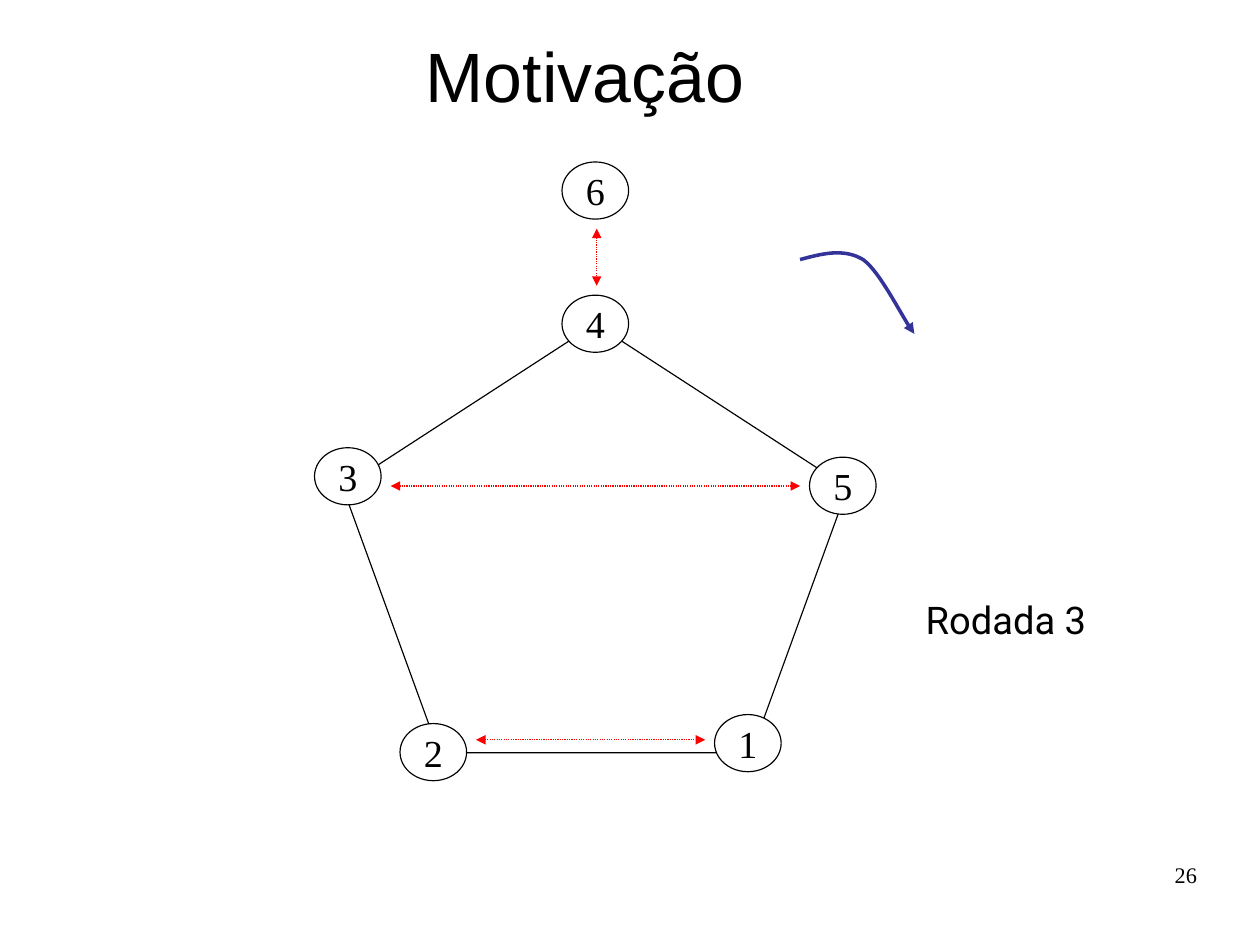
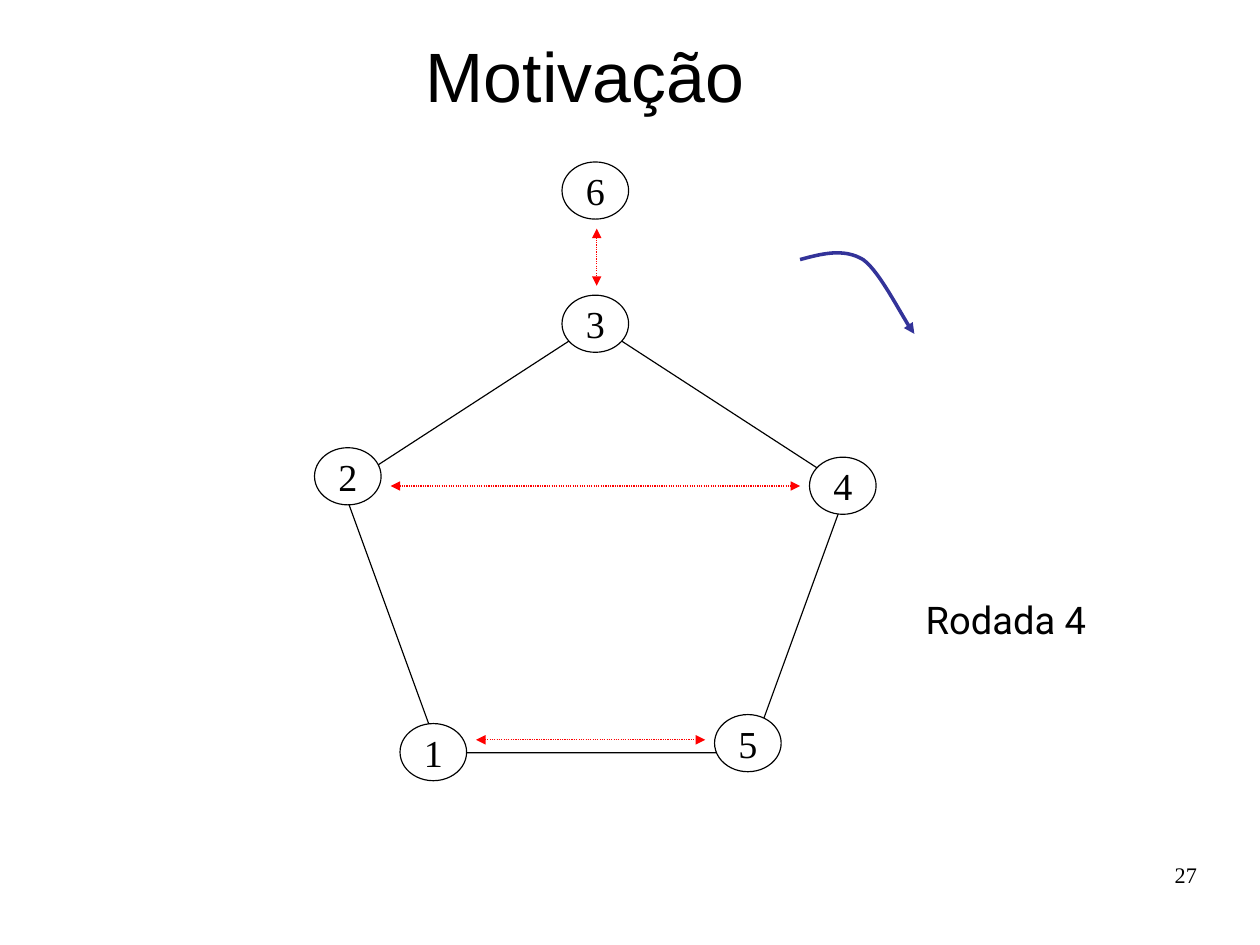
from lxml import etree
from pptx import Presentation
from pptx.dml import color
from pptx.enum import dml, shapes, text
from pptx.oxml import ns
from pptx import util as u

BLACK, WHITE, RED, BLUE = "000000", "FFFFFF", "FF0000", "333399"
SERIF = "Times New Roman"
FORMATS = {
    "title": {"size": u.Pt(44), "name": "Arial"},
    "label": {"size": u.Pt(24), "name": "Roboto"},
    "node": {"size": u.Pt(24), "name": SERIF},
    "number": {"size": u.Pt(14), "name": SERIF},
}
NODE_W, NODE_H = 1.48, 1.27
RING = [(12.49, 6.56), (17.99, 10.16), (15.88, 15.88), (8.89, 16.08), (6.99, 9.95)]
FIXED_NODE = (12.49, 3.6)
PAIRINGS = [
    (8.68, 10.8, 17.78, 10.8),
    (10.58, 16.44, 15.67, 16.44),
    (13.26, 5.08, 13.26, 6.35),
]
ROTATION = [
    [(17.78, 5.77), (18.26, 5.64), (18.75, 5.51), (19.18, 5.77)],
    [(19.18, 5.77), (19.58, 6.05), (20.09, 7.14), (20.32, 7.42)],
]


def rgb(value):
    return color.RGBColor.from_string(value)


def cm(*values):
    return [u.Cm(v) for v in values]


def bezier(points, steps=16):
    for i in range(1, steps + 1):
        t = i / steps
        weights = ((1 - t) ** 3, 3 * t * (1 - t) ** 2, 3 * t * t * (1 - t), t ** 3)
        yield tuple(sum(w * pt[axis] for w, pt in zip(weights, points)) for axis in (0, 1))


class Deck:
    def __init__(self):
        self.prs = Presentation()
        self.prs.slide_width, self.prs.slide_height = cm(28, 21)
        self.s = None

    def slide(self):
        self.s = self.prs.slides.add_slide(self.prs.slide_layouts[6])

    def set_text(self, sp, words, style, align, anchor, inset=True, wrap=True):
        tf = sp.text_frame
        frame = {"word_wrap": wrap, "vertical_anchor": anchor}
        if not inset:
            frame.update(dict.fromkeys(
                ("margin_left", "margin_right", "margin_top", "margin_bottom"), 0))
        for key, value in frame.items():
            setattr(tf, key, value)
        p = tf.paragraphs[0]
        p.alignment = align
        r = p.add_run()
        r.text = words
        for key, value in FORMATS[style].items():
            setattr(r.font, key, value)
        r.font.color.rgb = rgb(BLACK)

    def textbox(self, box, words, style, align=text.PP_ALIGN.CENTER,
                anchor=text.MSO_ANCHOR.TOP, inset=True):
        sp = self.s.shapes.add_textbox(*cm(*box))
        self.set_text(sp, words, style, align, anchor, inset)

    def stroke(self, sp, line_color, width):
        sp.line.color.rgb = rgb(line_color)
        sp.line.width = u.Pt(width)

    def shape(self, kind, box, fill=None):
        sp = self.s.shapes.add_shape(kind, *cm(*box))
        sp.shadow.inherit = False
        if fill:
            sp.fill.solid()
            sp.fill.fore_color.rgb = rgb(fill)
        else:
            sp.fill.background()
        self.stroke(sp, BLACK, 0.75)
        return sp

    def node(self, place, words):
        sp = self.shape(shapes.MSO_SHAPE.OVAL, (*place, NODE_W, NODE_H), WHITE)
        self.set_text(sp, words, "node", text.PP_ALIGN.CENTER,
                      text.MSO_ANCHOR.MIDDLE, wrap=False)

    def arrowheads(self, sp, *ends):
        ln = sp._element.spPr.find(ns.qn("a:ln"))
        for end in ends:
            etree.SubElement(ln, ns.qn("a:" + end), type="triangle")

    def double_arrow(self, ends):
        cxn = self.s.shapes.add_connector(shapes.MSO_CONNECTOR.STRAIGHT, *cm(*ends))
        self.stroke(cxn, RED, 0.75)
        cxn.line.dash_style = dml.MSO_LINE.ROUND_DOT
        self.arrowheads(cxn, "headEnd", "tailEnd")
        etree.SubElement(cxn._element.spPr, ns.qn("a:effectLst"))

    def curved_arrow(self, curves):
        builder = self.s.shapes.build_freeform(*cm(*curves[0][0]))
        points = [cm(*pt) for curve in curves for pt in bezier(curve)]
        builder.add_line_segments(points, close=False)
        sp = builder.convert_to_shape()
        sp.shadow.inherit = False
        sp.fill.background()
        self.stroke(sp, BLUE, 2.25)
        self.arrowheads(sp, "tailEnd")


def round_slide(deck, number):
    deck.slide()
    deck.shape(shapes.MSO_SHAPE.REGULAR_PENTAGON, (7.62, 7.2, 11.22, 9.53))
    for i, place in enumerate(RING):
        deck.node(place, str((6 - number + i) % 5 + 1))
    deck.node(FIXED_NODE, "6")
    for ends in PAIRINGS:
        deck.double_arrow(ends)
    deck.curved_arrow(ROTATION)
    deck.textbox((20.17, 13.13, 4.37, 1.42), f"Rodada {number}", "label")
    deck.textbox((4.01, 0.66, 17.98, 2.01), "Motivação", "title",
                 anchor=text.MSO_ANCHOR.MIDDLE)
    deck.textbox((20.07, 19.13, 6.53, 1.45), str(number + 23), "number",
                 align=text.PP_ALIGN.RIGHT, inset=False)


def main():
    deck = Deck()
    for number in (3, 4):
        round_slide(deck, number)
    deck.prs.save("out.pptx")


if __name__ == "__main__":
    main()
